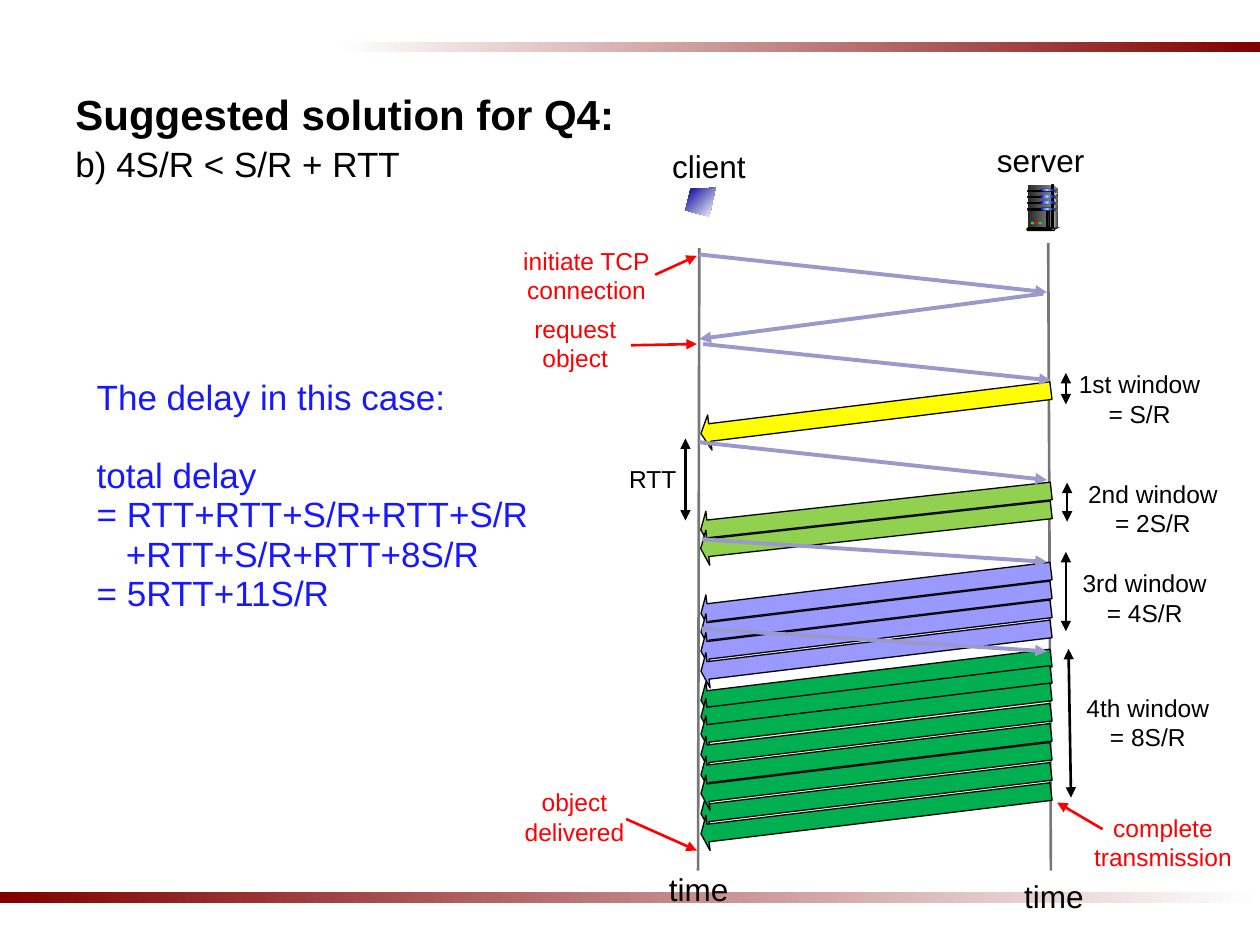
import lxml.etree
import pptx
import pptx.dml.color
import pptx.enum.shapes
import pptx.enum.text
import pptx.oxml.ns
import pptx.util

Pt = pptx.util.Pt
qn = pptx.oxml.ns.qn
SHAPE = pptx.enum.shapes.MSO_SHAPE
ALIGN = pptx.enum.text.PP_ALIGN


class Theme:
    font = "Arial"
    title, body, heading, label = 24, 20, 18, 14
    black, red, blue = "000000", "FF0000", "1818FF"
    maroon, white = "800000", "FFFFFF"
    axis, message = "777777", "9999CC"
    yellow, lime, violet, green = "FFFF00", "92D050", "9999FF", "00B050"
    navy, charcoal, gray, dark, pale = "000099", "292929", "808080", "333333", "DDDDDD"
    led_green, light_blue, pure_blue = "33CC33", "99CCFF", "0000FF"
    silver, midnight = "F8F8F8", "00007D"


def rgb(value):
    return pptx.dml.color.RGBColor.from_string(value)


def paint(shape, colors, outline=None, angle=0):
    """Fill with one colour, or with a gradient through several; outline if given."""
    shape.shadow.inherit = False
    if isinstance(colors, str):
        shape.fill.solid()
        shape.fill.fore_color.rgb = rgb(colors)
    else:
        shape.fill.gradient()
        shape.fill.gradient_angle = angle
        stops = shape._element.spPr.find(qn("a:gradFill")).find(qn("a:gsLst"))
        for stop in list(stops):
            stops.remove(stop)
        for index, color in enumerate(colors):
            position = str(100000 * index // (len(colors) - 1))
            stop = lxml.etree.SubElement(stops, qn("a:gs"), pos=position)
            lxml.etree.SubElement(stop, qn("a:srgbClr"), val=color)
    if outline:
        shape.line.color.rgb = rgb(outline)
        shape.line.width = Pt(0.75)
    else:
        shape.line.fill.background()


def add_block(slide, kind, box, colors, outline=None):
    shape = slide.shapes.add_shape(kind, *map(Pt, box))
    if kind == SHAPE.ROUNDED_RECTANGLE:
        shape.adjustments[0] = 0.5
    paint(shape, colors, outline)
    return shape


def add_polygon(slide, points, colors, angle=0):
    corners = [(Pt(x), Pt(y)) for x, y in points]
    builder = slide.shapes.build_freeform(*corners[0])
    builder.add_line_segments(corners[1:], close=True)
    paint(builder.convert_to_shape(), colors, angle=angle)


def add_line(slide, ends, color, width=1.5, arrows=("tailEnd",)):
    line = slide.shapes.add_connector(
        pptx.enum.shapes.MSO_CONNECTOR.STRAIGHT, *map(Pt, ends))
    line.line.color.rgb = rgb(color)
    line.line.width = Pt(width)
    outline = line._element.spPr.find(qn("a:ln"))
    for arrow in arrows:
        lxml.etree.SubElement(outline, qn(f"a:{arrow}"), type="triangle")
    lxml.etree.SubElement(line._element.spPr, qn("a:effectLst"))


def format_paragraph(paragraph, size, color, bold=False):
    for run in paragraph.runs:
        run.font.name = Theme.font
        run.font.size = Pt(size)
        run.font.bold = bold
        run.font.color.rgb = rgb(color)


def add_text(slide, box, text, size, color, wrap=True):
    text_frame = slide.shapes.add_textbox(*map(Pt, box)).text_frame
    text_frame.word_wrap = wrap
    text_frame.text = text
    for paragraph in text_frame.paragraphs:
        format_paragraph(paragraph, size, color)
    return text_frame


def add_label(slide, box, text, size=Theme.label, color=Theme.black):
    text_frame = add_text(slide, box, text, size, color, wrap=False)
    text_frame.auto_size = pptx.enum.text.MSO_AUTO_SIZE.SHAPE_TO_FIT_TEXT
    for paragraph in text_frame.paragraphs:
        paragraph.alignment = ALIGN.CENTER


def add_segments(slide, tops, color, angle, head):
    """Data segments sent from the server to the client."""
    for top in tops:
        arrow = add_block(slide, SHAPE.RIGHT_ARROW, (399.8, top, 201.5, 20.2),
                          color, Theme.black)
        arrow.adjustments[0] = 0.5
        arrow.adjustments[1] = head
        arrow.rotation = angle


def add_server(slide):
    metal = (Theme.charcoal, Theme.gray)
    rounded = SHAPE.ROUNDED_RECTANGLE
    # Cabinet
    add_polygon(slide, [(601.9, 105.8), (604.8, 108.7), (604.8, 129.6), (601.2, 130.3)],
                (Theme.pale, Theme.dark))
    add_block(slide, SHAPE.RECTANGLE, (587.5, 105.8, 13.7, 25.2), metal)
    add_polygon(slide, [(601.9, 107.3), (604.1, 109.4), (602.6, 119), (601.9, 129.6)],
                (Theme.gray, Theme.silver))
    add_block(slide, SHAPE.RECTANGLE, (601.2, 105.8, 0.7, 25.2),
              (Theme.dark, Theme.pale, Theme.dark), Theme.black)
    # Drive slots with their side vents
    for row in range(4):
        y = 108 + 3.55 * row
        add_block(slide, SHAPE.RECTANGLE, (587.5, y + 0.7, 7.9, 0.7), Theme.black, Theme.black)
        add_block(slide, rounded, (594.5, y, 7.9, 1.6), Theme.black)
        add_block(slide, rounded, (594.8, y, 7.2, 1.4),
                  (Theme.pure_blue, Theme.light_blue, Theme.pure_blue))
        add_polygon(slide, [(601.9, y), (604.8, y + 1.4), (604.8, y + 2.6), (601.8, y + 1.2)],
                    metal)
    # Base, lamps and handle
    add_block(slide, SHAPE.OVAL, (604.8, 129.6, 0.7, 0.7), Theme.dark)
    add_polygon(slide, [(601.9, 130.3), (601.9, 131.8), (604.8, 130.3), (604.8, 129.6)],
                Theme.dark)
    add_block(slide, rounded, (586.8, 130.3, 15.8, 1.4), Theme.pale, Theme.black)
    add_block(slide, rounded, (587.5, 130.3, 13.7, 0.8),
              (Theme.black, Theme.midnight), Theme.black)
    for index, color in enumerate((Theme.led_green, Theme.red, Theme.led_green)):
        add_block(slide, SHAPE.OVAL, (589 + 2.2 * index, 126.7, 1.9, 1.6), color)
    add_block(slide, SHAPE.RECTANGLE, (598.3, 121, 1.4, 8.6), Theme.charcoal, Theme.black)


def add_timeline(slide):
    # Headings, icons and time axes
    add_label(slide, (376.6, 80.6, 56.9, 28.8), "client", Theme.heading)
    add_label(slide, (562.3, 77, 64.8, 28.8), "server", Theme.heading)
    add_line(slide, (399.6, 141.8, 398.9, 497.5), Theme.axis, arrows=())
    add_line(slide, (599, 139, 600.5, 497.5), Theme.axis, arrows=())
    add_label(slide, (375.1, 493.9, 48.2, 28.8), "time", Theme.heading)
    add_label(slide, (578.2, 497.5, 48.2, 28.8), "time", Theme.heading)
    add_polygon(slide, [(409, 107.3), (394.6, 108), (391.7, 120.2), (405.4, 123.8)],
                (Theme.navy, Theme.white), angle=315)
    add_server(slide)

    # Segments of each window
    add_segments(slide, (225.4,), Theme.yellow, 173, 0.25)
    add_segments(slide, (328.3, 339.1, 349.9, 361.4), Theme.violet, 173.1, 0.2)
    add_segments(slide, (378, 387.4, 397.4, 409, 420.5, 442.8, 431.3, 454.3),
                 Theme.green, 173.1, 0.2)
    add_segments(slide, (281.5, 292.3), Theme.lime, 173.7, 0.2)

    # Handshake, request and acknowledgements
    for ends in ((399.6, 145.4, 598.3, 167), (596.2, 167.8, 399.6, 193.7),
                 (401.8, 196.6, 600.5, 217.4), (399.6, 252.7, 598.3, 274.3),
                 (401, 308.2, 598.3, 321.1), (401, 359.3, 598.3, 372.2)):
        add_line(slide, ends, Theme.message, 2.25)

    # Window and round-trip spans
    for ends in ((609.1, 213.1, 609.1, 231.1), (609.8, 275.8, 609.8, 298.1),
                 (609.1, 315.4, 609.1, 360.7), (610.6, 370.8, 612, 455.8),
                 (391.7, 250.6, 391.7, 297.4)):
        add_line(slide, ends, Theme.black, arrows=("headEnd", "tailEnd"))
    add_label(slide, (352.1, 261.4, 41.8, 23.8), "RTT")
    for box, text in (((609.1, 207.4, 84.2, 41), "1st window\n= S/R"),
                      ((614.2, 270, 89.3, 41), "2nd window\n= 2S/R"),
                      ((611.3, 321.1, 85.7, 41), "3rd window\n= 4S/R"),
                      ((613.4, 392.4, 85, 41), "4th window\n= 8S/R")):
        add_label(slide, box, text)

    # Event callouts
    for box, text, ends in (
            ((291.6, 136.8, 87.1, 41), "initiate TCP\nconnection", (374.4, 157, 398.2, 146.2)),
            ((298.1, 175.7, 61.2, 41), "request\nobject", (360.7, 197.3, 398.2, 196.6)),
            ((292.3, 446.4, 72, 41), "object\ndelivered", (357.8, 468, 398.2, 486)),
            ((617.8, 460.8, 93.6, 41), "complete\ntransmission", (630, 473.8, 604.1, 458.6))):
        add_label(slide, box, text, color=Theme.red)
        add_line(slide, ends, Theme.red)


def add_solution(slide):
    # Title and case
    text_frame = add_text(slide, (36, 50.5, 683.3, 476.6),
                          "Suggested solution for Q4:\nb) 4S/R < S/R + RTT",
                          Theme.body, Theme.black)
    title, case = text_frame.paragraphs
    format_paragraph(title, Theme.title, Theme.black, bold=True)
    title.line_spacing = case.line_spacing = 0.9
    case.space_before = Pt(4)

    # Delay calculation
    lines = ("The delay in this case:", "total delay", "= RTT+RTT+S/R+RTT+S/R",
             "+RTT+S/R+RTT+8S/R", "= 5RTT+11S/R")
    text_frame = add_text(slide, (48.2, 213.1, 333.4, 138.2), "\n".join(lines),
                          Theme.body, Theme.blue)
    for paragraph in text_frame.paragraphs:
        paragraph.line_spacing = 0.94
    text_frame.paragraphs[1].space_before = Pt(21.6)
    text_frame.paragraphs[3]._p.get_or_add_pPr().set("marL", str(Pt(16.7)))


def main():
    presentation = pptx.Presentation()
    presentation.slide_width, presentation.slide_height = Pt(720), Pt(540)
    slide = presentation.slides.add_slide(presentation.slide_layouts[6])
    # Decorative bars
    add_block(slide, SHAPE.RECTANGLE, (192, 24, 528, 6), (Theme.white, Theme.maroon))
    add_block(slide, SHAPE.RECTANGLE, (0, 510, 720, 6), (Theme.maroon, Theme.white))
    add_timeline(slide)
    add_solution(slide)
    presentation.save("out.pptx")


if __name__ == "__main__":
    main()
